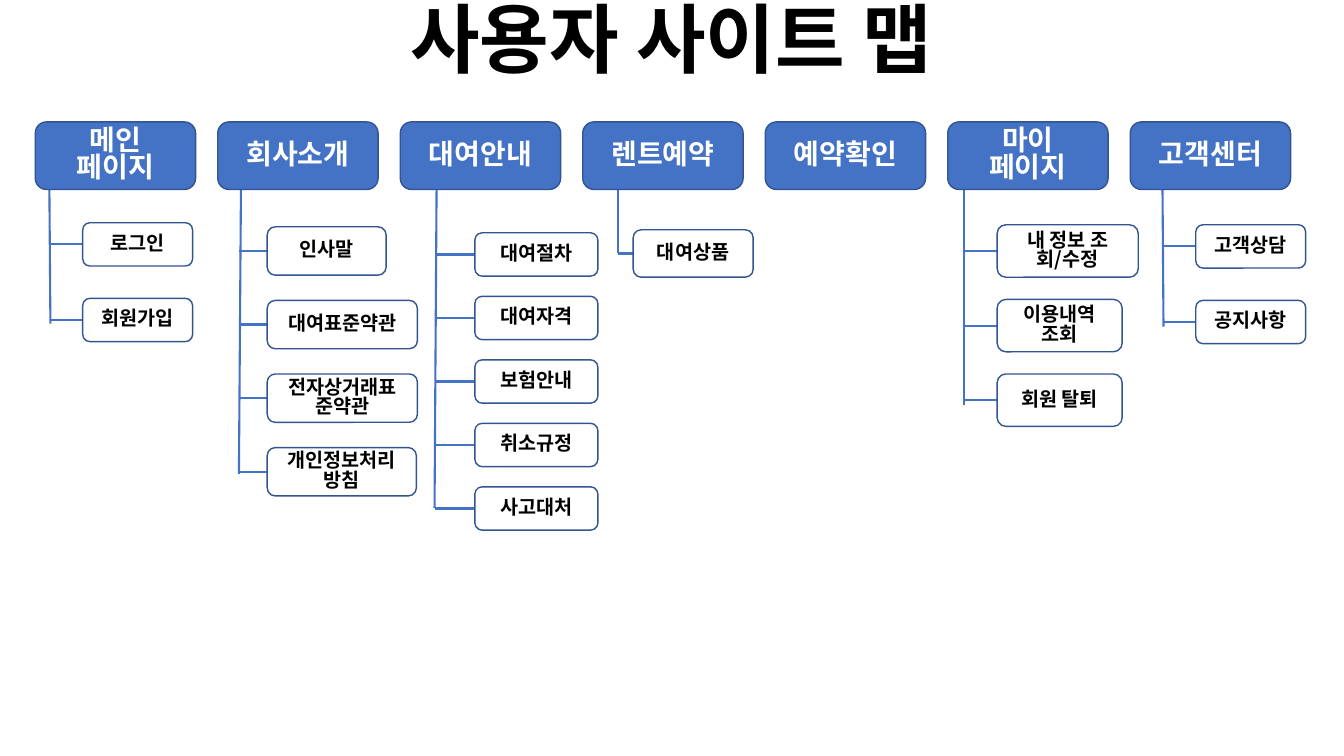
from lxml.etree import SubElement
from pptx import Presentation
from pptx.dml.color import RGBColor
from pptx.enum.shapes import MSO_CONNECTOR, MSO_SHAPE
from pptx.enum.text import MSO_ANCHOR, PP_ALIGN
from pptx.oxml.ns import qn
from pptx.util import Inches, Pt

FONT = "Noto Sans CJK KR"
BLUE, OUTLINE, WHITE, BLACK = "4472C4", "325491", "FFFFFF", "000000"


def color(value):
    return RGBColor.from_string(value)


def write(box, lines, size, ink, align, spacing):
    frame = box.text_frame
    frame.word_wrap = True
    for index, line in enumerate(lines):
        para = frame.paragraphs[0] if index == 0 else frame.add_paragraph()
        para.alignment = align
        para.line_spacing = spacing
        span = para.add_run()
        span.text = line
        span.font.size = Pt(size)
        span.font.bold = True
        span.font.name = FONT
        span.font.color.rgb = color(ink)
        SubElement(span.font._element, qn("a:ea")).set("typeface", FONT)


deck = Presentation()
deck.slide_width, deck.slide_height = Inches(13.33), Inches(7.5)
page = deck.slides.add_slide(deck.slide_layouts[5])

title = page.shapes.title
title.left, title.top = Inches(3.97), Inches(-0.03)
title.width, title.height = Inches(6.72), Inches(1.01)
title.text_frame.vertical_anchor = MSO_ANCHOR.TOP
write(title, ["사용자 사이트 맵"], 54, BLACK, PP_ALIGN.LEFT, 0.9)

menus = [["메인", "페이지"], ["회사소개"], ["대여안내"], ["렌트예약"],
         ["예약확인"], ["마이", "페이지"], ["고객센터"]]
MENU_LEFT, MENU_STEP, MENU_TOP, MENU_HEIGHT = 0.35, 1.81, 1.21, 0.67

# menu branches: trunk top x, trunk bottom x, trunk end y, item left, item height, items
branches = [
    (0.49, 0.5, 3.21, 0.82, 0.43, 2.21, 0.75,
     [("로그인", 1.09), ("회원가입", 1.09)]),
    (2.39, 2.37, 4.7, 2.65, 0.48, 2.25, 0.73,
     [("인사말", 1.18), ("대여표준약관", 1.49),
      ("전자상거래표준약관", 1.49), ("개인정보처리방침", 1.48)]),
    (4.33, 4.31, 5.04, 4.71, 0.43, 2.31, 0.63,
     [("대여절차", 1.22), ("대여자격", 1.22), ("보험안내", 1.22),
      ("취소규정", 1.22), ("사고대처", 1.22)]),
    (6.13, 6.13, 2.51, 6.28, 0.47, 2.28, 0,
     [("대여상품", 1.19)]),
    (9.56, 9.56, 4.02, 9.89, 0.52, 2.23, 0.74,
     [("내 정보 조회/수정", 1.4), ("이용내역 조회", 1.24), ("회원 탈퇴", 1.24)]),
    (11.53, 11.54, 3.24, 11.86, 0.43, 2.23, 0.75,
     [("고객상담", 1.09), ("공지사항", 1.09)]),
]

boxes = [(lines, MENU_LEFT + MENU_STEP * index, MENU_TOP, 1.59, MENU_HEIGHT, BLUE, WHITE, 20)
         for index, lines in enumerate(menus)]
lines_to_draw = []
for trunk_top, trunk_foot, trunk_end, left, height, first, step, items in branches:
    lines_to_draw.append((trunk_top, MENU_TOP + MENU_HEIGHT, trunk_foot, trunk_end))
    for index, (label, width) in enumerate(items):
        top = first + step * index
        middle = top + height / 2
        boxes.append(([label], left, top, width, height, WHITE, BLACK, 14))
        lines_to_draw.append((trunk_foot, middle, left, middle))

for ends in lines_to_draw:
    link = page.shapes.add_connector(MSO_CONNECTOR.STRAIGHT, *[Inches(end) for end in ends])
    link.line.color.rgb = color(BLUE)
    link.line.width = Pt(1.5)
    SubElement(link._element.spPr, qn("a:effectLst"))

for lines, left, top, width, height, fill, ink, size in boxes:
    box = page.shapes.add_shape(MSO_SHAPE.ROUNDED_RECTANGLE, Inches(left), Inches(top),
                                Inches(width), Inches(height))
    box.shadow.inherit = False
    box.fill.solid()
    box.fill.fore_color.rgb = color(fill)
    box.line.color.rgb = color(OUTLINE)
    box.line.width = Pt(1)
    box.text_frame.vertical_anchor = MSO_ANCHOR.MIDDLE
    write(box, lines, size, ink, PP_ALIGN.CENTER, 0.83)

deck.save("out.pptx")
